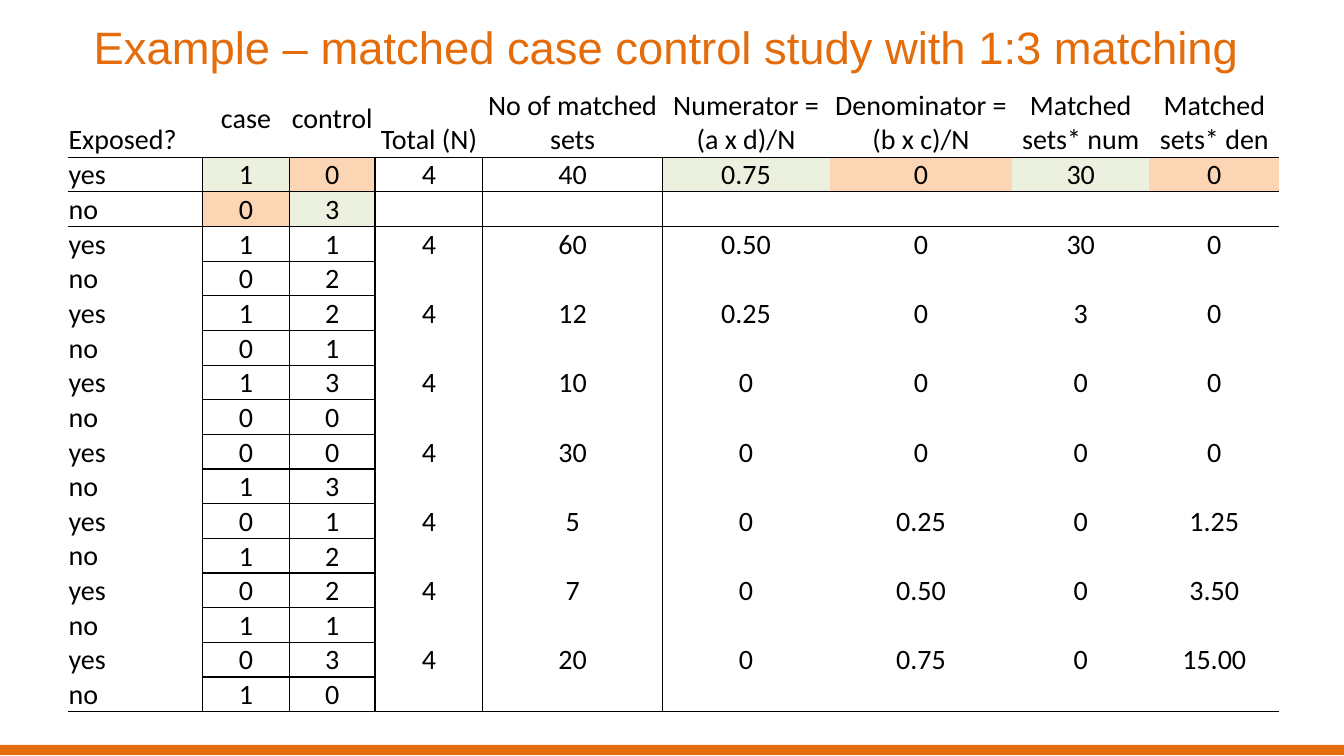
from dataclasses import dataclass

from lxml.etree import SubElement
from pptx import Presentation
from pptx.dml.color import RGBColor
from pptx.enum.shapes import MSO_SHAPE
from pptx.enum.text import MSO_ANCHOR as Anchor, PP_ALIGN as Align
from pptx.oxml.ns import qn
from pptx.util import Inches, Pt


@dataclass(frozen=True)
class Theme:
    orange: str = "E46C0A"
    peach: str = "FCD5B5"
    green: str = "EBF1DE"
    black: str = "000000"
    title_font: str = "Arial"
    table_font: str = "Calibri"
    title_size: float = 32.4
    table_size: float = 20
    border_width: float = 1


theme = Theme()
NO_STYLE = "{2D5ABB26-0587-4C30-8999-92F81FD0307C}"


def style_text(frame, font_name, size, color, align):
    for para in frame.paragraphs:
        para.alignment = align
        para.font.name = font_name
        para.font.size = Pt(size)
        for span in para.runs:
            span.font.name = font_name
            span.font.size = Pt(size)
            span.font.color.rgb = RGBColor.from_string(color)


def add_borders(cell, sides):
    """Draw black lines on the given sides, a subset of the letters LRTB."""
    properties = cell._tc.get_or_add_tcPr()
    for side in "LRTB":
        if side in sides:
            line = SubElement(properties, qn(f"a:ln{side}"), w=str(Pt(theme.border_width)))
            fill = SubElement(line, qn("a:solidFill"))
            SubElement(fill, qn("a:srgbClr"), val=theme.black)


deck = Presentation()
deck.slide_width = Inches(13.33)
deck.slide_height = Inches(7.5)
page = deck.slides.add_slide(deck.slide_layouts[6])

footer_bar = page.shapes.add_shape(
    MSO_SHAPE.RECTANGLE, 0, Inches(7.39), deck.slide_width, Inches(0.1))
footer_bar.shadow.inherit = False
footer_bar.fill.solid()
footer_bar.fill.fore_color.rgb = RGBColor.from_string(theme.orange)
footer_bar.line.fill.background()

title = page.shapes.add_textbox(Inches(0.67), 0, Inches(12), Inches(0.93))
title.text_frame.word_wrap = True
title.text_frame.vertical_anchor = Anchor.MIDDLE
title.text_frame.text = "Example – matched case control study with 1:3 matching "
style_text(title.text_frame, theme.title_font, theme.title_size, theme.orange, Align.CENTER)

headers = ["Exposed?", "case", "control", "Total (N)", "No of matched sets",
           "Numerator = (a x d)/N", "Denominator = (b x c)/N",
           "Matched sets* num", "Matched sets* den"]
# Exposed cases, exposed controls, then the five results of each kind of set
matched_sets = [
    (1, 0, "40", "0.75", "0", "30", "0"),
    (1, 1, "60", "0.50", "0", "30", "0"),
    (1, 2, "12", "0.25", "0", "3", "0"),
    (1, 3, "10", "0", "0", "0", "0"),
    (0, 0, "30", "0", "0", "0", "0"),
    (0, 1, "5", "0", "0.25", "0", "1.25"),
    (0, 2, "7", "0", "0.50", "0", "3.50"),
    (0, 3, "20", "0", "0.75", "0", "15.00"),
]
CASES, CONTROLS = 1, 3
rows = [headers]
for cases, controls, *results in matched_sets:
    rows.append(["yes", str(cases), str(controls), str(CASES + CONTROLS), *results])
    rows.append(["no", str(CASES - cases), str(CONTROLS - controls)] + [""] * 6)

highlights = {(1, 1): theme.green, (1, 2): theme.peach, (2, 1): theme.peach,
              (2, 2): theme.green, (1, 5): theme.green, (1, 6): theme.peach,
              (1, 7): theme.green, (1, 8): theme.peach}
column_widths = [1.34, 0.86, 0.85, 1.07, 1.78, 1.66, 1.81, 1.36, 1.29]
count_columns = (1, 2)
ruled_rows = (0, 1, len(rows) - 1)

table_frame = page.shapes.add_table(
    len(rows), len(headers), Inches(0.67), Inches(0.79), Inches(12), Inches(6.21))
table = table_frame.table
table.horz_banding = False
table._tbl.tblPr.find(qn("a:tableStyleId")).text = NO_STYLE
for column, width in zip(table.columns, column_widths):
    column.width = Inches(width)
for index, row in enumerate(table.rows):
    row.height = Inches(0.34 if index else 0.77)

for r, values in enumerate(rows):
    for c, value in enumerate(values):
        cell = table.cell(r, c)
        cell.margin_left = cell.margin_right = cell.margin_top = Inches(0.01)
        cell.margin_bottom = 0
        cell.vertical_anchor = Anchor.MIDDLE if c in count_columns else Anchor.BOTTOM
        cell.text_frame.text = value
        style_text(cell.text_frame, theme.table_font, theme.table_size, theme.black,
                   Align.CENTER if c else Align.LEFT)

        sides = ""
        if r and c in (1, 2, 3, 4):
            sides += "L"
        if r and c in (0, 1, 2, 3):
            sides += "R"
        if r and (r - 1 in ruled_rows or c in count_columns):
            sides += "T"
        if r in ruled_rows or c in count_columns:
            sides += "B"
        add_borders(cell, sides)

        if (r, c) in highlights:
            cell.fill.solid()
            cell.fill.fore_color.rgb = RGBColor.from_string(highlights[r, c])
        else:
            cell.fill.background()

deck.save("out.pptx")
